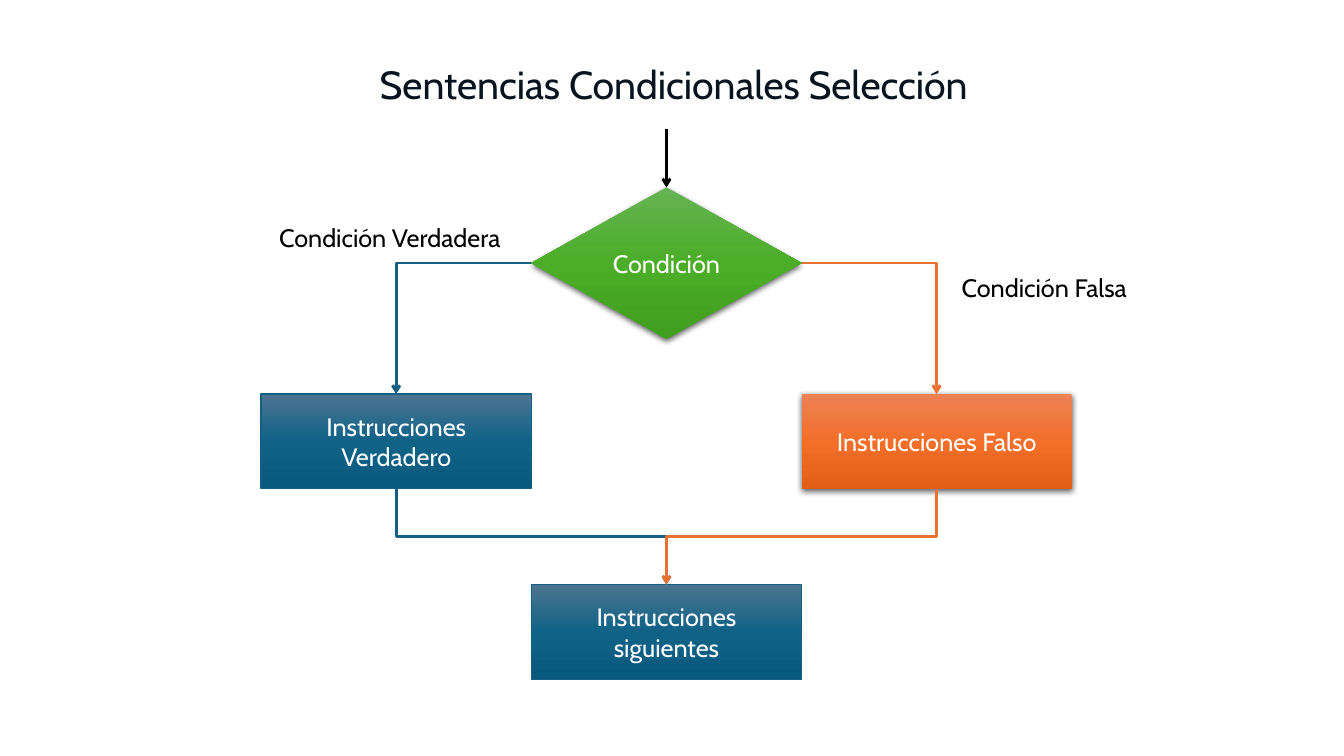
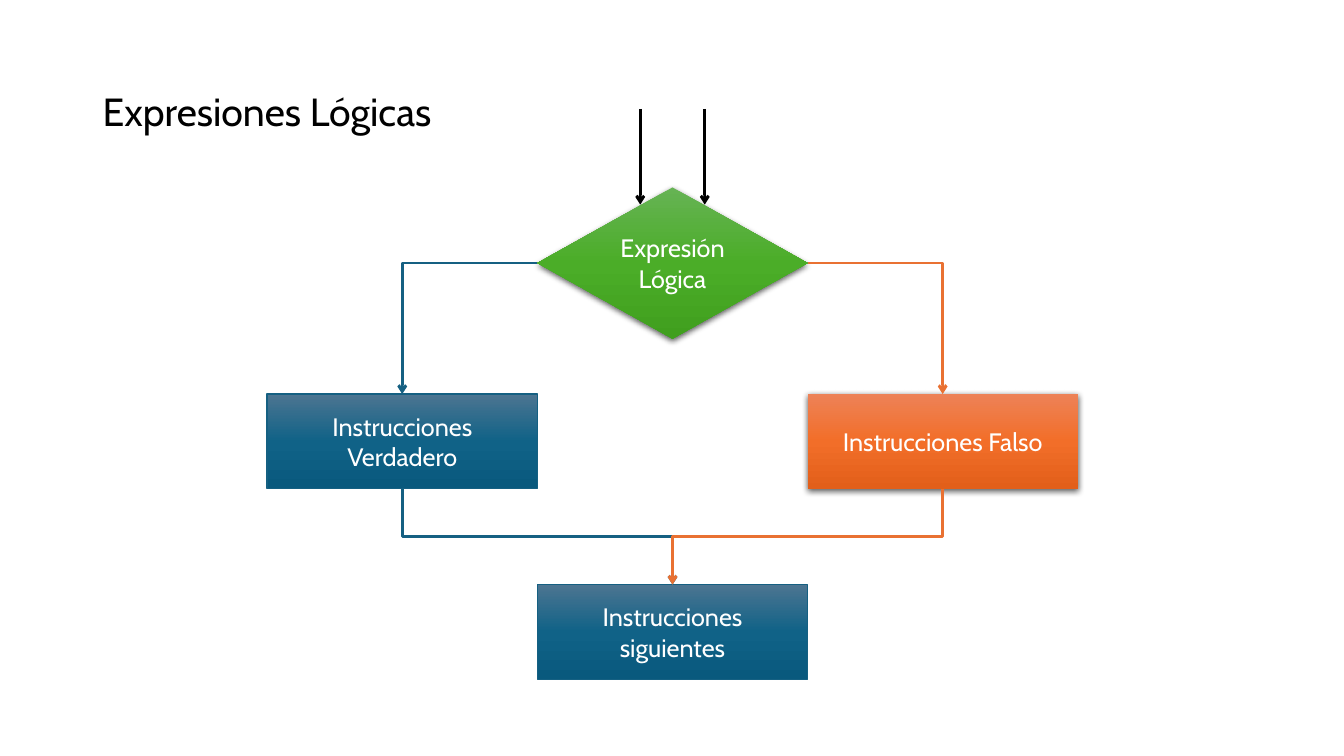
from copy import deepcopy

from pptx import Presentation
from pptx.dml.color import RGBColor
from pptx.enum.shapes import MSO_CONNECTOR, MSO_SHAPE
from pptx.enum.text import MSO_ANCHOR, PP_ALIGN
from pptx.oxml.ns import qn
from pptx.oxml.xmlchemy import OxmlElement
from pptx.util import Inches, Pt

FONT = "Cabin"
WHITE = RGBColor(0xFF, 0xFF, 0xFF)
BLACK = RGBColor(0x00, 0x00, 0x00)
NAVY = RGBColor(0x07, 0x14, 0x20)
BLUE = RGBColor(0x15, 0x60, 0x82)
ORANGE = RGBColor(0xE9, 0x71, 0x32)
GREEN_STOPS = (RGBColor(0x66, 0xB3, 0x54), RGBColor(0x4B, 0xAD, 0x28), RGBColor(0x40, 0x9F, 0x1E))
BLUE_STOPS = (RGBColor(0x4C, 0x75, 0x91), RGBColor(0x10, 0x62, 0x87), RGBColor(0x09, 0x59, 0x7D))
ORANGE_STOPS = (RGBColor(0xED, 0x82, 0x57), RGBColor(0xF2, 0x6E, 0x29), RGBColor(0xE2, 0x5F, 0x1A))

# Flowchart grid, in inches
BOX_WIDTH, BOX_HEIGHT = 2.68, 0.94
DECISION_TOP, DECISION_HEIGHT = 1.86, 1.5
BRANCH_TOP, NEXT_TOP = 3.91, 5.8

# Connection sites
TOP, LEFT, BOTTOM, RIGHT = range(4)


def add_element(parent, tag, **attributes):
    element = OxmlElement(tag)
    for name, value in attributes.items():
        element.set(name, str(value))
    parent.append(element)
    return element


def write_text(shape, text, size, color, align):
    para = shape.text_frame.paragraphs[0]
    para.text = text
    para.alignment = align
    para.font.name = FONT
    para.font.size = Pt(size)
    para.font.color.rgb = color
    return para


def add_title(page, text, left, top, width, height, color, align):
    box = page.shapes.add_textbox(Inches(left), Inches(top), Inches(width), Inches(height))
    box.text_frame.word_wrap = True
    box.text_frame.vertical_anchor = MSO_ANCHOR.MIDDLE
    return write_text(box, text, 28, color, align)


def add_label(page, text, left, top, width):
    box = page.shapes.add_textbox(Inches(left), Inches(top), Inches(width), Inches(0.4))
    box.text_frame.word_wrap = False
    write_text(box, text, 18, BLACK, PP_ALIGN.LEFT)


def fill_gradient(shape, colors):
    """Fill from top to bottom with three evenly spaced colours."""
    shape.fill.gradient()
    shape.fill.gradient_angle = 270
    stop_list = shape._element.spPr.find(".//" + qn("a:gsLst"))
    stop_list.append(deepcopy(stop_list[0]))
    for index, (stop, color) in enumerate(zip(shape.fill.gradient_stops, colors)):
        stop.position = index / 2
        stop.color.rgb = color


def add_shadow(shape):
    effects = shape._element.spPr.find(qn("a:effectLst"))
    shadow = add_element(effects, "a:outerShdw", blurRad=Pt(4.5), dist=Pt(1.5),
                         dir=5400000, algn="ctr", rotWithShape=0)
    color = add_element(shadow, "a:srgbClr", val=BLACK)
    add_element(color, "a:alpha", val=63000)


def add_step(page, text, center, top, stops, outline=None, height=BOX_HEIGHT, kind=MSO_SHAPE.RECTANGLE):
    """Outlined steps are flat; the others cast a shadow."""
    step = page.shapes.add_shape(kind, Inches(center - BOX_WIDTH / 2), Inches(top),
                                 Inches(BOX_WIDTH), Inches(height))
    step.shadow.inherit = False
    fill_gradient(step, stops)
    if outline is None:
        step.line.fill.background()
        add_shadow(step)
    else:
        step.line.color.rgb = outline
        step.line.width = Pt(1)
    step.text_frame.word_wrap = True
    step.text_frame.vertical_anchor = MSO_ANCHOR.MIDDLE
    write_text(step, text, 18, WHITE, PP_ALIGN.CENTER)
    return step


def style_arrow(arrow, color):
    arrow.line.color.rgb = color
    arrow.line.width = Pt(2)
    add_element(arrow.line._get_or_add_ln(), "a:tailEnd", type="arrow")
    add_element(arrow._element.spPr, "a:effectLst")


def add_entry_arrow(page, x, top, bottom):
    arrow = page.shapes.add_connector(MSO_CONNECTOR.STRAIGHT, Inches(x), Inches(top),
                                      Inches(x), Inches(bottom))
    style_arrow(arrow, BLACK)
    return arrow


def add_elbow(page, start, start_site, end, color):
    """Join a side of one step to the top of another."""
    elbow = page.shapes.add_connector(MSO_CONNECTOR.ELBOW, 0, 0, 0, 0)
    elbow.begin_connect(start, start_site)
    elbow.end_connect(end, TOP)
    style_arrow(elbow, color)
    return elbow


def add_branch_arrow(page, start, side, end, color):
    """One bend: sideways, then down."""
    elbow = add_elbow(page, start, side, end, color)
    elbow._element.spPr.find(qn("a:prstGeom")).set("prst", "bentConnector2")


def add_merge_arrow(page, start, end, color):
    """Two bends: down, sideways, down; the frame is turned a quarter."""
    elbow = add_elbow(page, start, BOTTOM, end, color)
    rightward = elbow.end_x > elbow.begin_x
    middle_x = elbow.left + elbow.width // 2
    middle_y = elbow.top + elbow.height // 2
    elbow.width, elbow.height = elbow.height, elbow.width
    elbow.left = middle_x - elbow.width // 2
    elbow.top = middle_y - elbow.height // 2
    frame = elbow._element.spPr.find(qn("a:xfrm"))
    frame.set("rot", str((270 if rightward else 90) * 60000))
    frame.set("flipH", "1" if rightward else "0")


def add_flowchart(page, center, condition):
    decision = add_step(page, condition, center, DECISION_TOP, GREEN_STOPS,
                        height=DECISION_HEIGHT, kind=MSO_SHAPE.FLOWCHART_DECISION)
    true_step = add_step(page, "Instrucciones Verdadero", center - BOX_WIDTH, BRANCH_TOP, BLUE_STOPS, BLUE)
    false_step = add_step(page, "Instrucciones Falso", center + BOX_WIDTH, BRANCH_TOP, ORANGE_STOPS)
    next_step = add_step(page, "Instrucciones siguientes", center, NEXT_TOP, BLUE_STOPS, BLUE)
    for step, side, color in ((true_step, LEFT, BLUE), (false_step, RIGHT, ORANGE)):
        add_branch_arrow(page, decision, side, step, color)
        add_merge_arrow(page, step, next_step, color)
    return decision


def build_selection(page):
    center = 6.61
    decision = add_flowchart(page, center, "Condición")
    add_entry_arrow(page, center, 1.28, DECISION_TOP).end_connect(decision, TOP)
    add_label(page, "Condición Falsa", 9.44, 2.65, 1.96)
    add_label(page, "Condición Verdadera", 2.67, 2.16, 2.49)
    add_title(page, "Sentencias Condicionales Selección", 2.18, 0.21, 9, 1.25, NAVY, PP_ALIGN.CENTER)


def build_expressions(page):
    center = 6.67
    title = add_title(page, "Expresiones Lógicas", 0.92, 0.4, 11.5, 1.45, BLACK, PP_ALIGN.LEFT)
    title.line_spacing = 0.9
    add_flowchart(page, center, "Expresión Lógica")
    for offset in (-0.32, 0.32):
        add_entry_arrow(page, center + offset, 1.08, 2.03)


def main():
    deck = Presentation()
    deck.slide_width, deck.slide_height = Inches(13.33), Inches(7.5)
    for build in (build_selection, build_expressions):
        build(deck.slides.add_slide(deck.slide_layouts[6]))
    deck.save("out.pptx")


if __name__ == "__main__":
    main()
